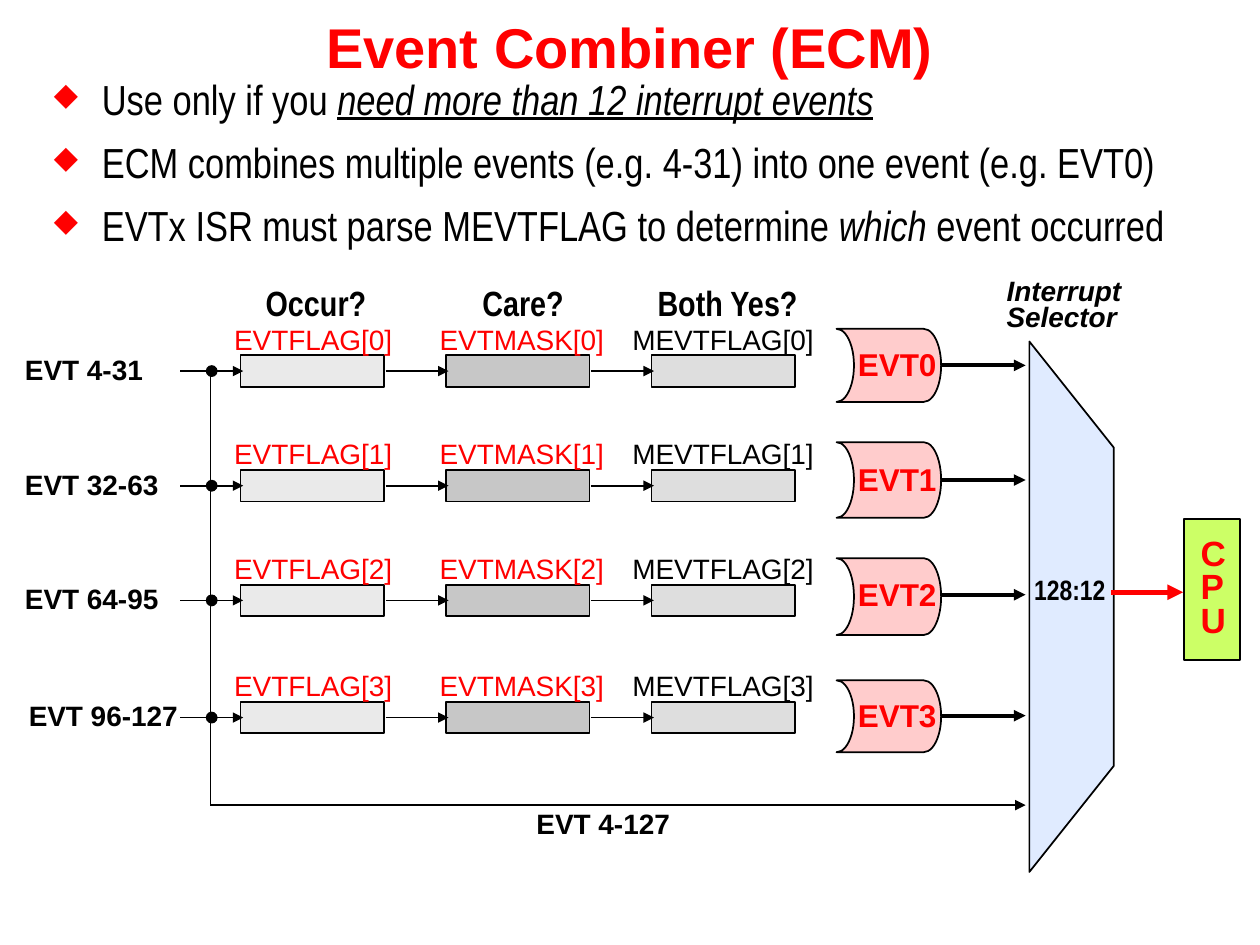
from lxml import etree
from pptx import Presentation
from pptx.dml.color import RGBColor
from pptx.enum import shapes, text
from pptx.oxml.ns import qn
from pptx.util import Inches, Pt

BLACK = RGBColor(0, 0, 0)
RED = RGBColor(0xFF, 0, 0)
PINK = RGBColor(0xFF, 0xCC, 0xCC)
PALE_BLUE = RGBColor(0xE0, 0xEB, 0xFF)
LIME = RGBColor(0xCC, 0xFF, 0x66)
LIGHT_GRAY = RGBColor(0xEA, 0xEA, 0xEA)
DARK_GRAY = RGBColor(0xC7, 0xC7, 0xC7)
MID_GRAY = RGBColor(0xDE, 0xDE, 0xDE)

TITLE = "Event Combiner (ECM)"
# Each bullet is a list of (text, italic, underline)
BULLETS = [
    [("Use only if you ", False, False),
     ("need more than 12 interrupt events", True, True)],
    [("ECM combines multiple events (e.g. 4-31) into one event (e.g. EVT0)", False, False)],
    [("EVTx ISR must parse MEVTFLAG to determine ", False, False),
     ("which", True, False), (" event occurred", False, False)],
]
# heading, left, width
HEADINGS = [("Occur?", 2.01, 1.15), ("Care?", 3.73, 0.92), ("Both Yes?", 5.12, 1.42)]
# register, label left, label width, label colour, box fill
REGISTERS = [
    ("EVTFLAG", 1.76, 1.46, RED, LIGHT_GRAY),
    ("EVTMASK", 3.39, 1.51, RED, DARK_GRAY),
    ("MEVTFLAG", 4.92, 1.65, BLACK, MID_GRAY),
]
# events, label left, label width, register top, gate top, gate height, output wire
ROWS = [
    ("EVT 4-31", 0.1, 1.14, 2.82, 2.61, 0.58, 2.9),
    ("EVT 32-63", 0.1, 1.26, 3.73, 3.51, 0.6, 3.81),
    ("EVT 64-95", 0.1, 1.26, 4.64, 4.43, 0.61, 4.72),
    ("EVT 96-127", 0.13, 1.39, 5.57, 5.4, 0.57, 5.68),
]
REGISTER_LEFT, REGISTER_STEP = 1.91, 1.63
REGISTER_WIDTH, REGISTER_HEIGHT = 1.14, 0.25
WIRE_LENGTH = 0.5
BUS_X, BUS_BOTTOM = 1.67, 6.39
DOT = 0.08
GATE_LEFT, GATE_WIDTH = 6.64, 0.83
SELECTOR_WIRE_END = 8.14

presentation = Presentation()
presentation.slide_width, presentation.slide_height = Inches(10), Inches(7.5)
slide = presentation.slides.add_slide(presentation.slide_layouts[6])


def style_font(font, size, color, bold=False, italic=False, name="Arial"):
    font.name, font.size, font.bold, font.italic = name, Pt(size), bold, italic
    font.color.rgb = color


def add_box(left, top, width, height, wrap=False, grow=True):
    box = slide.shapes.add_textbox(*map(Inches, (left, top, width, height)))
    box.text_frame.word_wrap = wrap
    if grow:
        box.text_frame.auto_size = text.MSO_AUTO_SIZE.SHAPE_TO_FIT_TEXT
    return box.text_frame


def add_label(words, left, top, width, height=0.31, size=16, color=BLACK, bold=True,
              italic=False, name="Arial", wrap=False, grow=True):
    paragraph = add_box(left, top, width, height, wrap, grow).paragraphs[0]
    paragraph.text = words
    paragraph.line_spacing = 0.8
    for run in paragraph.runs:
        style_font(run.font, size, color, bold, italic, name)


def add_outlined(kind, left, top, width, height, fill):
    shape = slide.shapes.add_shape(kind, *map(Inches, (left, top, width, height)))
    shape.shadow.inherit = False
    shape.fill.solid()
    shape.fill.fore_color.rgb = fill
    shape.line.color.rgb = BLACK
    shape.line.width = Pt(1)
    return shape


def add_wire(x1, y1, x2, y2, width=1, color=BLACK, arrow=True):
    wire = slide.shapes.add_connector(
        shapes.MSO_CONNECTOR.STRAIGHT, *map(Inches, (x1, y1, x2, y2)))
    wire.line.color.rgb = color
    wire.line.width = Pt(width)
    if arrow:
        etree.SubElement(wire.line._get_or_add_ln(), qn("a:tailEnd"), type="triangle")
    etree.SubElement(wire._element.spPr, qn("a:effectLst"))


def add_diamond_bullet(paragraph):
    properties = paragraph._p.get_or_add_pPr()
    properties.set("marL", str(Inches(0.38)))
    properties.set("indent", str(-Inches(0.38)))
    color = etree.SubElement(properties, qn("a:buClr"))
    etree.SubElement(color, qn("a:srgbClr"), val=str(RED))
    etree.SubElement(properties, qn("a:buSzPct"), val="75000")
    etree.SubElement(properties, qn("a:buChar"), char="◆")


# Title and bullets
title = add_box(0, 0, 10, 0.81, wrap=True, grow=False)
title.margin_top = Inches(0.1)
title.text = TITLE
title.paragraphs[0].alignment = text.PP_ALIGN.CENTER
style_font(title.paragraphs[0].runs[0].font, 32, RED, bold=True)

bullets = add_box(0.33, 0.61, 9.05, 1.47)
for index, pieces in enumerate(BULLETS):
    paragraph = bullets.add_paragraph() if index else bullets.paragraphs[0]
    paragraph.line_spacing = 0.8
    if index:
        paragraph.space_before = Pt(13)
    add_diamond_bullet(paragraph)
    for words, italic, underline in pieces:
        run = paragraph.add_run()
        run.text = words
        style_font(run.font, 24, BLACK, italic=italic, name="Arial Narrow")
        run.font.underline = underline

for heading, left, width in HEADINGS:
    add_label(heading, left, 2.25, width, 0.37, size=20, name="Arial Narrow", wrap=True)

# Event rows
for index, (events, left, width, top, gate_top, gate_height, output_y) in enumerate(ROWS):
    wire_y = top + REGISTER_HEIGHT / 2
    add_label(events, left, top - 0.02, width)
    for column, (register, label_left, label_width, color, fill) in enumerate(REGISTERS):
        box_left = REGISTER_LEFT + column * REGISTER_STEP
        add_outlined(shapes.MSO_SHAPE.RECTANGLE, box_left, top,
                     REGISTER_WIDTH, REGISTER_HEIGHT, fill)
        add_label(f"{register}[{index}]", label_left, top - 0.26, label_width,
                  color=color, bold=False)
        wire_end = box_left + 0.02
        add_wire(wire_end - WIRE_LENGTH, wire_y, wire_end, wire_y)
    add_outlined(shapes.MSO_SHAPE.OVAL, BUS_X + 0.01 - DOT / 2, wire_y - DOT / 2,
                 DOT, DOT, BLACK)
    gate = add_outlined(shapes.MSO_SHAPE.FLOWCHART_STORED_DATA, GATE_LEFT, gate_top,
                        GATE_WIDTH, gate_height, PINK)
    gate._element.spPr.find(qn("a:xfrm")).set("flipH", "1")
    add_label(f"EVT{index}", 6.71, output_y - 0.15, 0.83, 0.34, size=18, color=RED)
    add_wire(GATE_LEFT + GATE_WIDTH, output_y, SELECTOR_WIRE_END, output_y, width=2.25)

# Bus that bypasses the registers
add_wire(BUS_X, 2.93, BUS_X, BUS_BOTTOM, arrow=False)
add_wire(BUS_X, BUS_BOTTOM, SELECTOR_WIRE_END, BUS_BOTTOM)
add_label("EVT 4-127", 4.16, 6.4, 1.26)

# Interrupt selector and CPU
selector = add_outlined(shapes.MSO_SHAPE.FLOWCHART_MANUAL_OPERATION,
                        6.4, 4.48, 4.21, 0.67, PALE_BLUE)
selector.rotation = 270
add_label("Interrupt\nSelector", 7.89, 2.17, 1.12, 0.53, italic=True)
add_label("128:12", 8.11, 4.55, 0.77, name="Arial Narrow")
add_outlined(shapes.MSO_SHAPE.RECTANGLE, 9.4, 4.12, 0.44, 1.12, LIME)
add_label("C\nP\nU", 9.43, 4.23, 0.66, size=20, color=RED, grow=False)
add_wire(8.82, 4.7, 9.39, 4.7, width=3, color=RED)

presentation.save("out.pptx")
